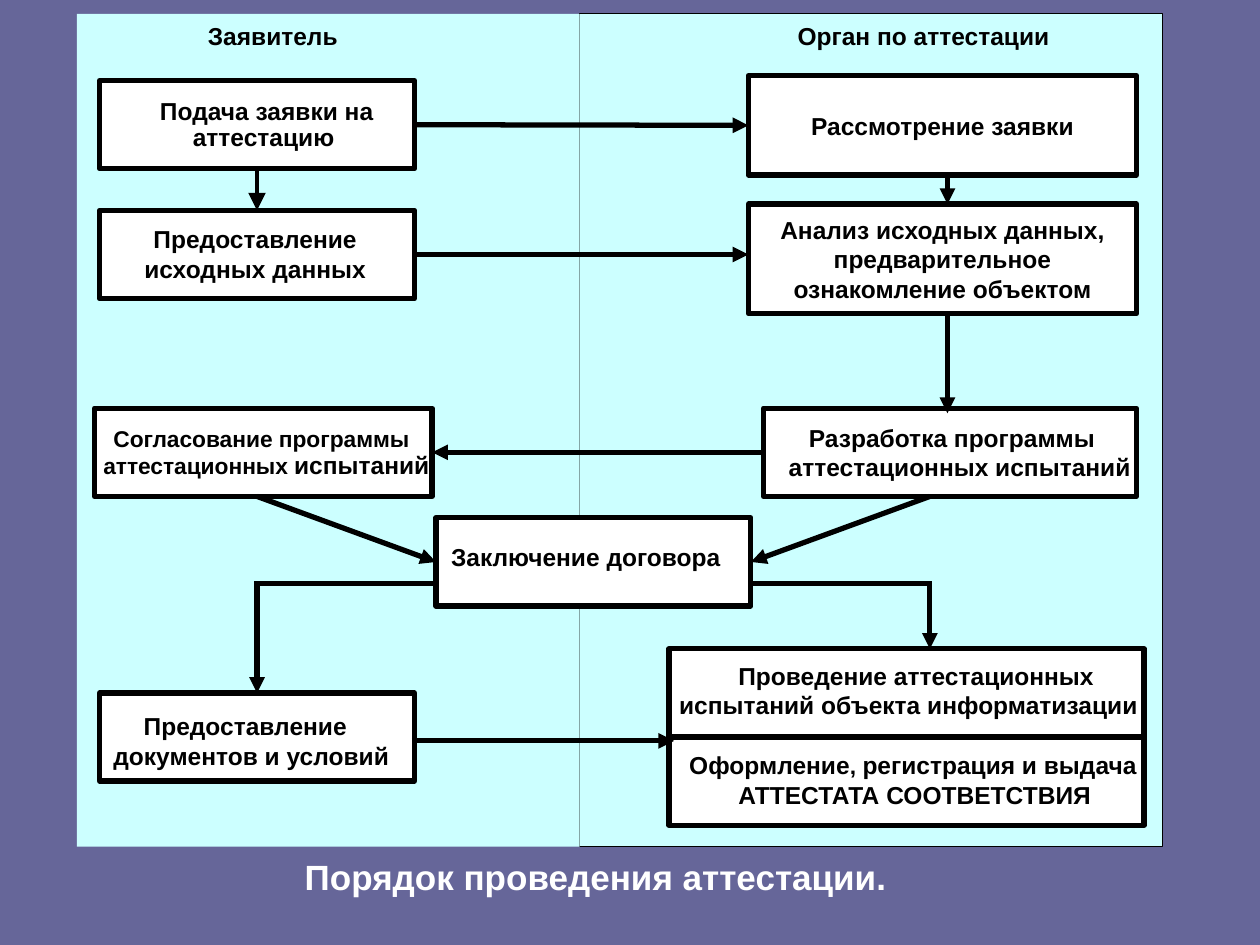
from lxml import etree
from pptx import Presentation
from pptx.dml.color import RGBColor
from pptx.enum import shapes, text
from pptx.oxml.ns import qn
from pptx.util import Inches, Pt

SLATE = RGBColor(0x66, 0x66, 0x99)
AQUA = RGBColor(0xCC, 0xFF, 0xFF)
WHITE = RGBColor(0xFF, 0xFF, 0xFF)
BLACK = RGBColor(0, 0, 0)

RIGHT_PANEL = (4.6, 0.11, 4.63, 6.61)
LEFT_PANEL = (0.61, 0.11, 3.99, 6.61)

BOXES = {
    "application": (0.79, 0.64, 2.5, 0.7),
    "data": (0.79, 1.67, 2.5, 0.7),
    "approval": (0.75, 3.24, 2.68, 0.7),
    "documents": (0.79, 5.5, 2.5, 0.7),
    "contract": (3.46, 4.11, 2.5, 0.7),
    "programme": (6.06, 3.24, 2.96, 0.7),
    "tests": (5.31, 5.15, 3.77, 0.7),
    "certificate": (5.31, 5.85, 3.77, 0.7),
    "review": (5.94, 0.6, 3.08, 0.79),
    "analysis": (5.94, 1.62, 3.08, 0.87),
}

# Each line of text: left, top, width, then (wording, size) runs
LABELS = [
    (1.65, 0.17, 1.2, [("Заявитель", 14)]),
    (6.33, 0.17, 2.2, [("Орган по аттестации", 14)]),
    (1.27, 0.76, 1.76, [("Подача заявки на", 14)]),
    (1.53, 0.97, 1.25, [("аттестацию", 14)]),
    (0.9, 3.37, 2.45, [("Согласование программы", 13)]),
    (0.82, 3.57, 2.7, [("аттестационных ", 13), ("испытаний", 14)]),
    (1.14, 5.64, 1.75, [("Предоставление", 14)]),
    (0.9, 5.88, 2.35, [("документов и условий", 14)]),
    (3.58, 4.3, 2.25, [("Заключение договора", 14)]),
    (6.42, 3.36, 2.4, [("Разработка программы", 14)]),
    (6.26, 3.59, 2.85, [("аттестационных испытаний", 14)]),
    (5.86, 5.25, 2.95, [("Проведение аттестационных", 14)]),
    (5.39, 5.48, 3.8, [("испытаний объекта информатизации", 14)]),
    (5.47, 5.95, 3.7, [("Оформление", 14), (", ", 13),
                       ("регистрация и выдача", 14)]),
    (5.86, 6.19, 2.95, [("АТТЕСТАТА СООТВЕТСТВИЯ", 14)]),
]

TOP, LEFT, BOTTOM, RIGHT = range(4)


def inches(values):
    return [Inches(v) for v in values]


def add_rect(slide, place, fill, line_width=None):
    sp = slide.shapes.add_shape(shapes.MSO_SHAPE.RECTANGLE, *inches(place))
    sp.shadow.inherit = False
    sp.fill.solid()
    sp.fill.fore_color.rgb = fill
    if line_width:
        sp.line.color.rgb = BLACK
        sp.line.width = Pt(line_width)
    else:
        sp.line.fill.background()
    return sp


def write(tf, lines, color=BLACK, align=text.PP_ALIGN.LEFT, margins=(0, 0),
          anchor=text.MSO_ANCHOR.TOP, wrap=False):
    """Fill a text frame; each line is a list of (wording, size) runs."""
    tf.margin_left = tf.margin_right = Inches(margins[0])
    tf.margin_top = tf.margin_bottom = Inches(margins[1])
    tf.word_wrap = wrap
    tf.vertical_anchor = anchor
    for i, runs in enumerate(lines):
        p = tf.add_paragraph() if i else tf.paragraphs[0]
        p.alignment = align
        for wording, size in runs:
            r = p.add_run()
            r.text = wording
            r.font.name = "Arial"
            r.font.size = Pt(size)
            r.font.bold = True
            r.font.color.rgb = color


def add_label(slide, place, lines, **fmt):
    sp = slide.shapes.add_textbox(*inches(place))
    write(sp.text_frame, lines, **fmt)
    sp.text_frame.auto_size = text.MSO_AUTO_SIZE.SHAPE_TO_FIT_TEXT


def add_line(slide, start, end, begin=None, finish=None, width=3, head=True):
    """Draw a line; begin and finish are (box, side) joints."""
    cx = slide.shapes.add_connector(
        shapes.MSO_CONNECTOR.STRAIGHT, *inches(start + end))
    if begin:
        cx.begin_connect(*begin)
    if finish:
        cx.end_connect(*finish)
    cx.line.color.rgb = BLACK
    cx.line.width = Pt(width)
    ln = cx.line._get_or_add_ln()
    if head:
        size = "med" if width >= 3 else "lg"
        etree.SubElement(ln, qn("a:tailEnd"),
                         type="triangle", w=size, len=size)
    else:
        ln.set("cap", "sq")  # closes the corner of an elbow
    etree.SubElement(cx._element.spPr, qn("a:effectLst"))


def add_flow(slide, box):
    add_line(slide, (2.04, 1.34), (2.04, 1.67), (box["application"], BOTTOM),
             (box["data"], TOP), width=2)
    add_line(slide, (3.29, 0.99), (5.94, 0.99), (box["application"], RIGHT),
             (box["review"], LEFT))
    add_line(slide, (3.29, 2.02), (5.94, 2.02), (box["data"], RIGHT))
    add_line(slide, (7.52, 1.39), (7.52, 1.62))
    add_line(slide, (7.52, 2.49), (7.52, 3.28))
    add_line(slide, (6.06, 3.59), (3.43, 3.59), (box["programme"], LEFT),
             (box["approval"], RIGHT))
    add_line(slide, (2.04, 3.94), (3.46, 4.46), finish=(box["contract"], LEFT))
    add_line(slide, (7.38, 3.94), (5.96, 4.46), finish=(box["contract"], RIGHT))
    add_line(slide, (3.46, 4.63), (2.04, 4.63), head=False)
    add_line(slide, (2.04, 4.63), (2.04, 5.5), finish=(box["documents"], TOP))
    add_line(slide, (5.96, 4.63), (7.38, 4.63), head=False)
    add_line(slide, (7.38, 4.63), (7.38, 5.15))
    add_line(slide, (3.27, 5.88), (5.35, 5.88))


def main():
    prs = Presentation()
    prs.slide_width, prs.slide_height = Inches(10), Inches(7.5)
    slide = prs.slides.add_slide(prs.slide_layouts[6])
    slide.background.fill.solid()
    slide.background.fill.fore_color.rgb = SLATE

    add_rect(slide, RIGHT_PANEL, AQUA, 0.62)
    add_rect(slide, LEFT_PANEL, AQUA)
    box = {name: add_rect(slide, place, WHITE, 3)
           for name, place in BOXES.items()}

    centre = text.PP_ALIGN.CENTER
    inside = dict(align=centre, margins=(0.1, 0.05),
                  anchor=text.MSO_ANCHOR.MIDDLE)
    write(box["review"].text_frame, [[("Рассмотрение заявки", 14)]], **inside)
    write(box["analysis"].text_frame,
          [[("Анализ исходных данных,", 14)], [("предварительное", 14)],
           [("ознакомление объектом", 14)]], **inside)
    for left, top, width, runs in LABELS:
        add_label(slide, (left, top, width, 0.23), [runs])
    add_label(slide, (1.14, 1.78, 1.77, 0.47),
              [[("Предоставление", 14)], [("исходных данных", 14)]],
              align=centre)

    add_flow(slide, box)
    add_label(slide, (2.32, 6.74, 4.82, 0.77),
              [[("Порядок проведения аттестации.", 20)]],
              color=WHITE, margins=(0.1, 0.05), wrap=True)
    prs.save("out.pptx")


if __name__ == "__main__":
    main()
